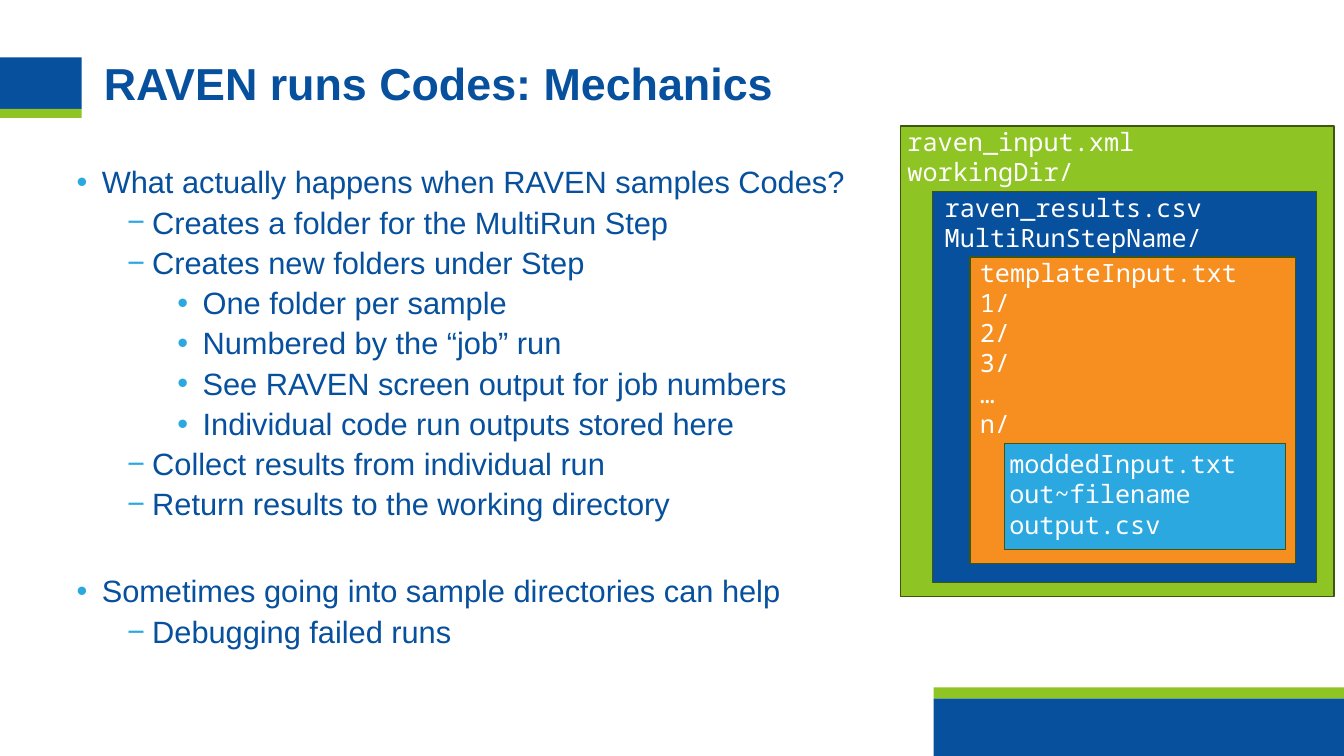
from dataclasses import dataclass

from lxml.etree import SubElement
from pptx import Presentation
from pptx.dml.color import RGBColor
from pptx.enum.shapes import MSO_SHAPE
from pptx.enum.text import MSO_ANCHOR, PP_ALIGN
from pptx.oxml.ns import qn
from pptx.shapes.autoshape import Shape
from pptx.slide import Slide
from pptx.text.text import TextFrame, _Paragraph
from pptx.util import Pt

EMU_PER_PX = 9144  # 100 px to the inch


@dataclass(frozen=True)
class Theme:
    blue: str = "06509D"
    green: str = "8EC423"
    orange: str = "F78E20"
    sky: str = "2CA8E1"
    outline: str = "3E560F"
    white: str = "FFFFFF"
    text_font: str = "Arial"
    code_font: str = "Noto Sans Mono"
    title_size: int = 32
    body_size: int = 22
    code_size: int = 18


THEME = Theme()


@dataclass(frozen=True)
class Area:
    left: int
    top: int
    width: int
    height: int


@dataclass(frozen=True)
class Band:
    area: Area
    fill: str


@dataclass(frozen=True)
class Folder:
    area: Area
    fill: str
    inset_left: int
    inset_top: int
    entries: tuple[str, ...]


@dataclass(frozen=True)
class Bullet:
    level: int
    text: str
    space_before: float = 5


BANDS = (
    Band(Area(926, 693, 407, 57), THEME.blue),
    Band(Area(926, 682, 407, 11), THEME.green),
    Band(Area(0, 57, 81, 51), THEME.blue),
    Band(Area(0, 108, 81, 9), THEME.green),
)

FOLDERS = (
    Folder(Area(893, 125, 430, 467), THEME.green, 7, 0,
           ("raven_input.xml", "workingDir/")),
    Folder(Area(925, 190, 381, 388), THEME.blue, 12, 1,
           ("raven_results.csv", "MultiRunStepName/")),
    Folder(Area(962, 255, 323, 304), THEME.orange, 10, 0,
           ("templateInput.txt", "1/", "2/", "3/", "…", "n/")),
    Folder(Area(996, 440, 279, 105), THEME.sky, 5, 5,
           ("moddedInput.txt", "out~filename", "output.csv")),
)

BULLETS = (
    Bullet(0, "What actually happens when RAVEN samples Codes?", 0),
    Bullet(1, "Creates a folder for the MultiRun Step"),
    Bullet(1, "Creates new folders under Step"),
    Bullet(2, "One folder per sample"),
    Bullet(2, "Numbered by the “job” run"),
    Bullet(2, "See RAVEN screen output for job numbers"),
    Bullet(2, "Individual code run outputs stored here"),
    Bullet(1, "Collect results from individual run"),
    Bullet(1, "Return results to the working directory"),
    Bullet(0, "Sometimes going into sample directories can help", 38.5),
    Bullet(1, "Debugging failed runs"),
)
BULLET_SIGNS = "•−•"


def px(length: int) -> int:
    return length * EMU_PER_PX


def emu(area: Area) -> tuple[int, int, int, int]:
    return px(area.left), px(area.top), px(area.width), px(area.height)


def set_frame(frame: TextFrame, left: int = 0, top: int = 0) -> None:
    """Wrap the text and anchor it at the top with the given insets in px."""
    frame.word_wrap = True
    frame.vertical_anchor = MSO_ANCHOR.TOP
    frame.margin_left, frame.margin_top = px(left), px(top)
    frame.margin_right = frame.margin_bottom = 0


def write(para: _Paragraph, text: str, *, font: str, size: int, color: str,
          bold: bool = False, line_spacing: float = 1,
          space_before: float = 0) -> None:
    para.alignment = PP_ALIGN.LEFT
    para.line_spacing = line_spacing
    para.space_before = Pt(space_before)
    span = para.add_run()
    span.text = text
    span.font.name = font
    span.font.size = Pt(size)
    span.font.bold = bold
    span.font.color.rgb = RGBColor.from_string(color)


def next_para(frame: TextFrame, index: int) -> _Paragraph:
    return frame.add_paragraph() if index else frame.paragraphs[0]


def add_rectangle(page: Slide, area: Area, fill: str, line: str | None = None) -> Shape:
    box = page.shapes.add_shape(MSO_SHAPE.RECTANGLE, *emu(area))
    box.shadow.inherit = False
    box.fill.solid()
    box.fill.fore_color.rgb = RGBColor.from_string(fill)
    if line:
        box.line.color.rgb = RGBColor.from_string(line)
        box.line.width = Pt(1)
    else:
        box.line.fill.background()
    return box


def add_folder(page: Slide, folder: Folder) -> None:
    box = add_rectangle(page, folder.area, folder.fill, THEME.outline)
    set_frame(box.text_frame, folder.inset_left, folder.inset_top)
    for index, entry in enumerate(folder.entries):
        write(next_para(box.text_frame, index), entry, font=THEME.code_font,
              size=THEME.code_size, color=THEME.white)


def set_bullet(para: _Paragraph, level: int) -> None:
    para.level = level
    properties = para._p.get_or_add_pPr()
    properties.set("marL", str(px(25 + 50 * level)))
    properties.set("indent", str(px(-25)))
    color = SubElement(properties, qn("a:buClr"))
    SubElement(color, qn("a:srgbClr"), val=THEME.sky)
    SubElement(properties, qn("a:buFont"), typeface=THEME.text_font)
    SubElement(properties, qn("a:buChar"), char=BULLET_SIGNS[level])


def add_bullets(page: Slide, area: Area) -> None:
    frame = page.shapes.add_textbox(*emu(area)).text_frame
    set_frame(frame)
    for index, bullet in enumerate(BULLETS):
        para = next_para(frame, index)
        set_bullet(para, bullet.level)
        write(para, bullet.text, font=THEME.text_font, size=THEME.body_size,
              color=THEME.blue, line_spacing=0.9, space_before=bullet.space_before)


def set_title(page: Slide, text: str, area: Area) -> None:
    title = page.shapes.title
    title.left, title.top, title.width, title.height = emu(area)
    set_frame(title.text_frame)
    write(title.text_frame.paragraphs[0], text, font=THEME.text_font,
          size=THEME.title_size, color=THEME.blue, bold=True, line_spacing=0.9)


def main() -> None:
    deck = Presentation()
    deck.slide_width, deck.slide_height = px(1333), px(750)
    page = deck.slides.add_slide(deck.slide_layouts[5])
    set_title(page, "RAVEN runs Codes: Mechanics", Area(103, 61, 1139, 60))
    for band in BANDS:
        add_rectangle(page, band.area, band.fill)
    add_bullets(page, Area(76, 166, 811, 476))
    for folder in FOLDERS:
        add_folder(page, folder)
    deck.save("out.pptx")


if __name__ == "__main__":
    main()
